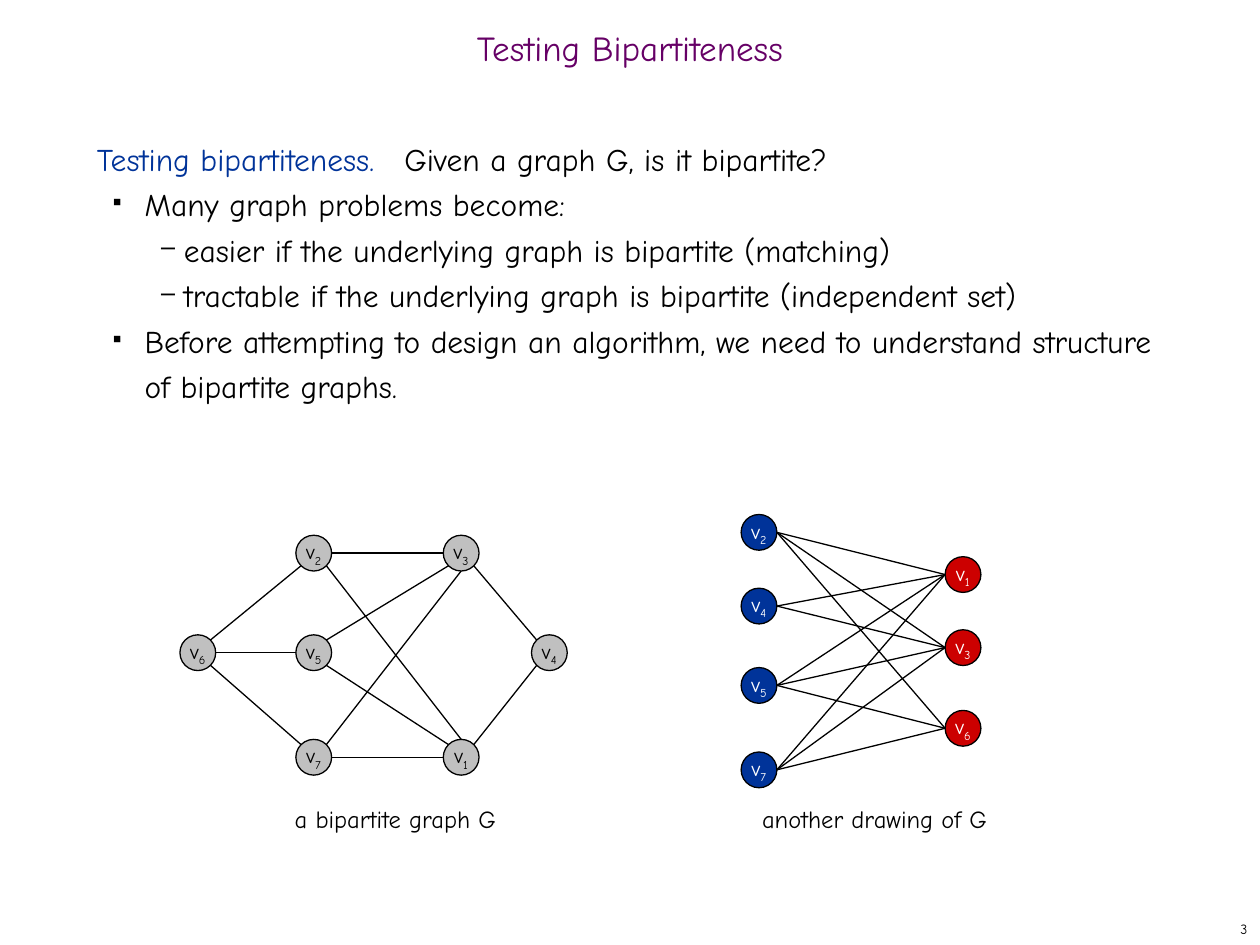
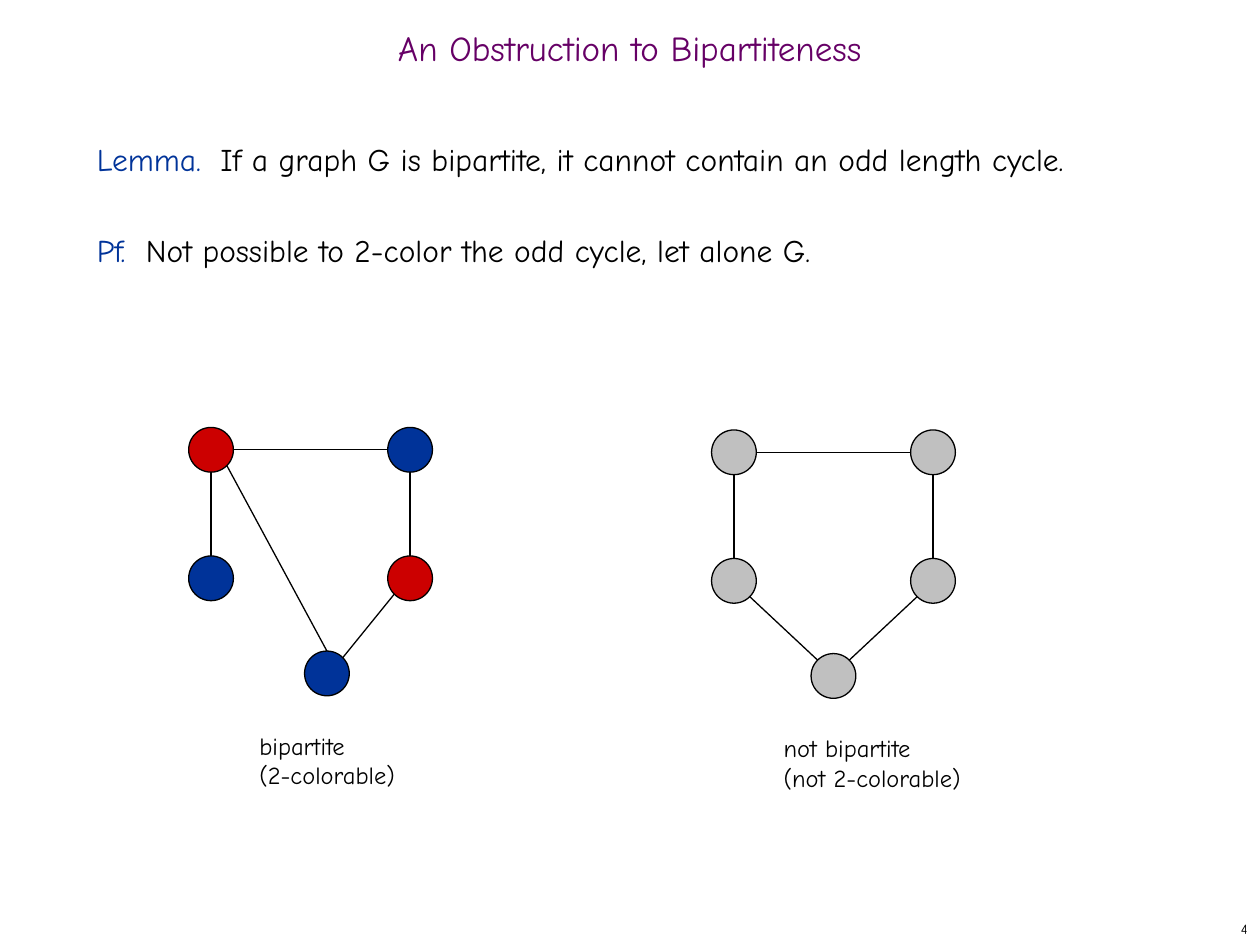
from math import cos, radians, sin

from lxml import etree
from pptx import Presentation
from pptx.dml.color import RGBColor
from pptx.enum.shapes import MSO_CONNECTOR, MSO_SHAPE
from pptx.enum.text import MSO_ANCHOR, MSO_AUTO_SIZE, PP_ALIGN
from pptx.oxml.ns import qn
from pptx.util import Inches, Pt

OVAL, STRAIGHT = MSO_SHAPE.OVAL, MSO_CONNECTOR.STRAIGHT
LEFT, CENTER, RIGHT = PP_ALIGN.LEFT, PP_ALIGN.CENTER, PP_ALIGN.RIGHT
TOP, MIDDLE = MSO_ANCHOR.TOP, MSO_ANCHOR.MIDDLE
FIT, FIXED = MSO_AUTO_SIZE.SHAPE_TO_FIT_TEXT, MSO_AUTO_SIZE.NONE

FONT = "Comic Neue"
BLACK, WHITE, PURPLE = "000000", "FFFFFF", "660066"
BLUE, RED, GRAY = "003399", "CC0000", "C0C0C0"
ANGLES = {d: 45 * i for i, d in enumerate("E SE S SW W NW N NE".split())}
rgb = RGBColor.from_string

prs = Presentation()
prs.slide_width, prs.slide_height = Inches(10), Inches(7.5)
U = prs.slide_width / 100  # grid of 100 columns by 75 rows


def write(tf, paras, size, align):
    """Fill a text frame; each paragraph is a list of (text, colour) runs."""
    for i, runs in enumerate(paras):
        p = tf.add_paragraph() if i else tf.paragraphs[0]
        p.alignment = align
        for text, color in runs:
            r = p.add_run()
            r.text = text
            r.font.name, r.font.size = FONT, Pt(size)
            r.font.color.rgb = rgb(color)


def add_graph(s, nodes, edges, d, ink=None):
    """Nodes map name to (column, row, fill); an edge is like "2E 3W"."""
    for edge in edges:
        ends = []
        for end in edge.split():
            x, y, _ = nodes[end[0]]
            a = radians(ANGLES[end[1:]])
            ends += [int((x + d / 2 * cos(a)) * U), int((y + d / 2 * sin(a)) * U)]
        line = s.shapes.add_connector(STRAIGHT, *ends)
        line.line.color.rgb, line.line.width = rgb(BLACK), Pt(0.75)
        etree.SubElement(line._element.spPr, qn("a:effectLst"))
    for name, (x, y, fill) in nodes.items():
        box = [int(v * U) for v in (x - d / 2, y - d / 2, d, d)]
        sp = s.shapes.add_shape(OVAL, *box)
        sp.shadow.inherit = False
        sp.fill.solid()
        sp.fill.fore_color.rgb = rgb(fill)
        sp.line.color.rgb, sp.line.width = rgb(BLACK), Pt(0.75)
        if ink:
            tf = sp.text_frame
            tf.word_wrap, tf.vertical_anchor = False, MIDDLE
            write(tf, [[("v", ink), (name, ink)]], 12, CENTER)
            tf.paragraphs[0].runs[1]._r.get_or_add_rPr().set("baseline", "-25000")


# Wording: body lines are (level, lead, text, tab column, space before)
pages = [
    (3, "Testing Bipartiteness", [
        (0, "Testing bipartiteness.", "Given a graph G, is it bipartite?", 24.4, 0),
        (1, "", "Many graph problems become:", 0, 0),
        (2, "", "easier if the underlying graph is bipartite (matching)", 0, 0),
        (2, "", "tractable if the underlying graph is bipartite (independent set)", 0, 0),
        (1, "", "Before attempting to design an algorithm, we need to understand "
                "structure of bipartite graphs.", 0, 0),
    ], [
        ((22.4, 63.3, 18.1, 3.3), ["a bipartite graph G"]),
        ((59.5, 63.3, 20, 3.3), ["another drawing of G"]),
    ]),
    (4, "An Obstruction to Bipartiteness", [
        (0, "Lemma.", "If a graph G is bipartite, it cannot contain an odd length cycle.",
         9.8, 0),
        (0, "Pf.", "Not possible to 2-color the odd cycle, let alone G.", 3.9, 26),
    ], [
        ((19.6, 57.5, 12.8, 5.7), ["bipartite", "(2-colorable)"]),
        ((61.2, 57.7, 16.2, 5.7), ["not bipartite", "(not 2-colorable)"]),
    ]),
]
# Bullet by level: character, size in percent, margin, indent
BULLETS = {1: ("■", 35, 3.8, -2.5), 2: ("–", 80, 6.9, -1.8)}

slides = []
for number, title, body, captions in pages:
    s = prs.slides.add_slide(prs.slide_layouts[6])
    slides.append(s)

    # Page number, title, body and captions
    body_runs = [[(lead, BLUE), ("\t" + text, BLACK)] if lead else [(text, BLACK)]
                 for _, lead, text, _, _ in body]
    boxes = [
        ((79.2, 72.5, 20.8, 2.5), [[(str(number), BLACK)]], 8, RIGHT, MIDDLE, FIXED),
        ((0, 1.7, 100, 5), [[(title, PURPLE)]], 20, CENTER, MIDDLE, FIXED),
        ((6.7, 10, 85.8, 59.2), body_runs, 18, LEFT, TOP, FIXED),
    ]
    boxes += [(box, [[(t, BLACK)] for t in lines], 14, LEFT, TOP, FIT)
              for box, lines in captions]
    frames = []
    for box, paras, size, align, anchor, fit in boxes:
        tf = s.shapes.add_textbox(*[int(v * U) for v in box]).text_frame
        tf.word_wrap, tf.auto_size = fit == FIXED, fit
        tf.vertical_anchor = anchor
        write(tf, paras, size, align)
        frames.append(tf)
    frames[1].paragraphs[0].line_spacing = 0.7

    # Body spacing, tab stops and bullets
    for p, (level, lead, _, tab, before) in zip(frames[2].paragraphs, body):
        p.line_spacing, p.space_before = Pt(26), Pt(before)
        p.level = level
        pPr = p._p.get_or_add_pPr()
        if lead:
            tabs = etree.SubElement(pPr, qn("a:tabLst"))
            etree.SubElement(tabs, qn("a:tab"), pos=str(int(tab * U)), algn="l")
        if level:
            char, percent, margin, indent = BULLETS[level]
            pPr.set("marL", str(int(margin * U)))
            pPr.set("indent", str(int(indent * U)))
            color = etree.SubElement(pPr, qn("a:buClr"))
            etree.SubElement(color, qn("a:srgbClr"), val=BLACK)
            etree.SubElement(pPr, qn("a:buSzPct"), val=str(percent * 1000))
            etree.SubElement(pPr, qn("a:buChar"), char=char)

# Graph G as given
add_graph(slides[0], {
    "1": (36.6, 60.1, GRAY), "2": (24.9, 43.9, GRAY), "3": (36.6, 43.9, GRAY),
    "4": (43.6, 51.8, GRAY), "5": (24.9, 51.8, GRAY), "6": (15.7, 51.8, GRAY),
    "7": (24.9, 60.1, GRAY),
}, ["2SW 6NE", "2E 3W", "3SE 4NW", "1NE 4SW", "1NW 5SE", "1W 7E",
    "6SE 7NW", "5W 6E", "3SW 5NE", "3S 7NE", "1N 2SE"], 2.84, BLACK)

# Graph G in two columns: every blue-red pair but one is joined
blues = {n: (60.24, y, BLUE) for n, y in zip("2457", (42.25, 48.1, 54.4, 61.1))}
reds = {n: (76.43, y, RED) for n, y in zip("136", (45.6, 51.4, 57.8))}
pairs = [f"{b}E {r}W" for b in blues for r in reds if b + r != "46"]
add_graph(slides[0], {**blues, **reds}, pairs, 2.84, WHITE)

# Two-colorable graph and odd cycle share three edges and the base
shared = ["aE bW", "dN bS", "cN aS", "eNE dSW"]
for x, y, base, fills, last in [
    (16.75, 35.7, 9.2, (RED, BLUE, BLUE, RED, BLUE), "eN aSE"),
    (58.25, 35.9, 7.9, (GRAY,) * 5, "cSE eNW"),
]:
    spots = [(0, 0), (15.8, 0), (0, 10.2), (15.8, 10.2), (base, 17.75)]
    nodes = {n: (x + dx, y + dy, fill)
             for n, (dx, dy), fill in zip("abcde", spots, fills)}
    add_graph(slides[1], nodes, shared + [last], 3.55)

prs.save("out.pptx")
